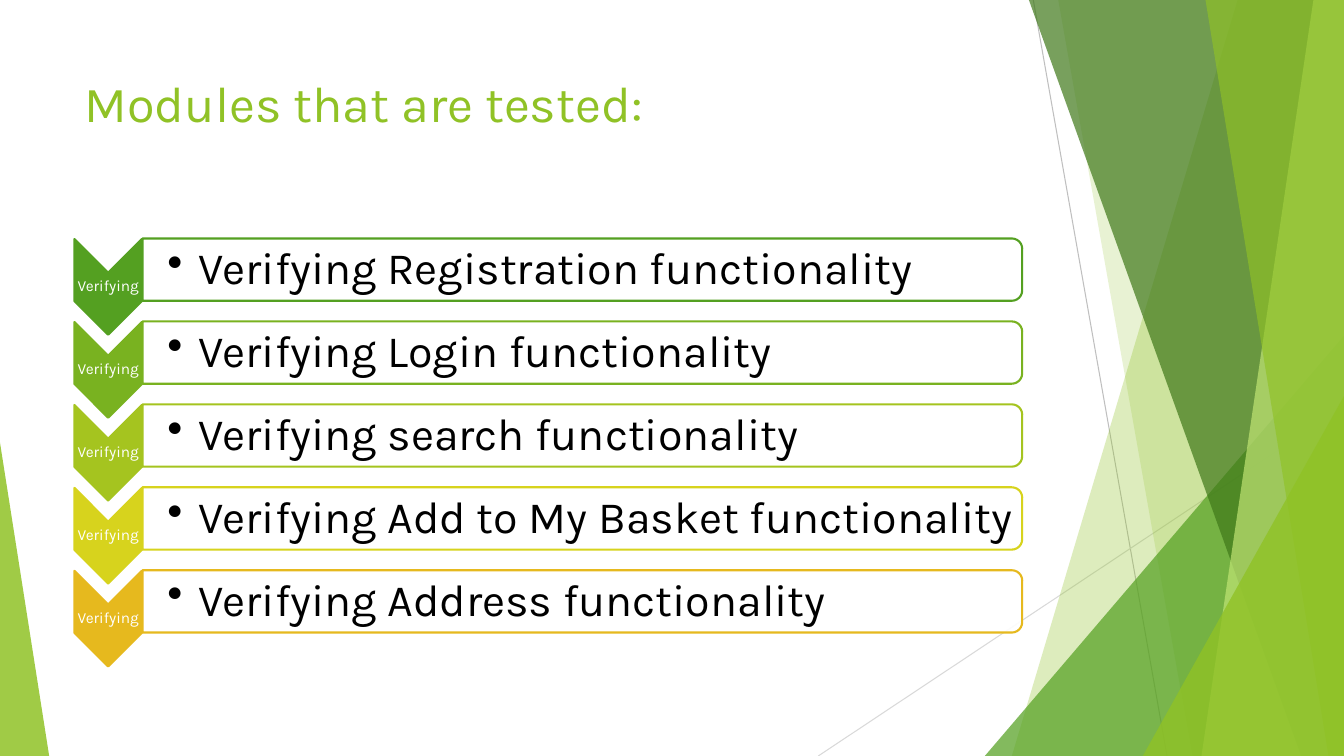
import dataclasses

import lxml.etree
import pptx
import pptx.dml.color
import pptx.enum.shapes
import pptx.enum.text
import pptx.oxml.ns
import pptx.util

Cm = pptx.util.Cm
Pt = pptx.util.Pt
MSO_SHAPE = pptx.enum.shapes.MSO_SHAPE
PP_ALIGN = pptx.enum.text.PP_ALIGN
MSO_ANCHOR = pptx.enum.text.MSO_ANCHOR
qn = pptx.oxml.ns.qn

WIDTH, HEIGHT = 33.87, 19.05
ROW_PITCH = 2.09


@dataclasses.dataclass
class Theme:
    font: str = "Karla"
    title_size: int = 36
    entry_size: int = 32
    label_size: int = 11
    outline: float = 1.5
    hairline: float = 0.75
    accent: str = "90C226"
    green: str = "54A021"
    dark: str = "3F7819"
    pale: str = "C0E474"
    white: str = "FFFFFF"
    black: str = "000000"
    grey: str = "BFBFBF"
    light_grey: str = "D9D9D9"
    rows: tuple = ("54A021", "79B220", "A5C41F", "D7D31D", "E6B91E")


def rgb(color):
    return pptx.dml.color.RGBColor.from_string(color)


class SlideBuilder:
    def __init__(self, s, theme):
        self.s = s
        self.theme = theme

    def paint(self, sp, color, opacity=100, outline=None):
        sp.shadow.inherit = False
        sp.fill.solid()
        sp.fill.fore_color.rgb = rgb(color)
        if opacity < 100:
            clr = sp._element.spPr.find(qn("a:solidFill"))[0]
            lxml.etree.SubElement(clr, qn("a:alpha"), val=str(opacity * 1000))
        if outline:
            sp.line.color.rgb = rgb(outline)
            sp.line.width = Pt(self.theme.outline)
        else:
            sp.line.fill.background()

    def shape(self, kind, box, color, opacity=100, outline=None, rotation=0, adj=None):
        sp = self.s.shapes.add_shape(kind, *map(Cm, box))
        sp.rotation = rotation
        if adj is not None:
            sp.adjustments[0] = adj
        self.paint(sp, color, opacity, outline)

    def facet(self, top_x, bottom_x, color, opacity):
        builder = self.s.shapes.build_freeform(Cm(top_x), 0)
        corners = [(WIDTH, 0), (WIDTH, HEIGHT), (bottom_x, HEIGHT)]
        builder.add_line_segments([(Cm(x), Cm(y)) for x, y in corners], close=True)
        self.paint(builder.convert_to_shape(), color, opacity)

    def line(self, x1, y1, x2, y2, color):
        straight = pptx.enum.shapes.MSO_CONNECTOR.STRAIGHT
        cxn = self.s.shapes.add_connector(straight, *map(Cm, (x1, y1, x2, y2)))
        cxn.line.color.rgb = rgb(color)
        cxn.line.width = Pt(self.theme.hairline)
        lxml.etree.SubElement(cxn._element.spPr, qn("a:effectLst"))

    def set_text(self, tf, text, size, color, align):
        tf.text = text
        tf.word_wrap = True
        tf.auto_size = pptx.enum.text.MSO_AUTO_SIZE.NONE
        p = tf.paragraphs[0]
        p.alignment = align
        r = p.runs[0]
        r.font.name = self.theme.font
        r.font.size = Pt(size)
        r.font.color.rgb = rgb(color)
        return p

    def title(self, text, box):
        sp = self.s.shapes.title
        sp.left, sp.top, sp.width, sp.height = map(Cm, box)
        self.set_text(sp.text_frame, text, self.theme.title_size, self.theme.accent, PP_ALIGN.LEFT)
        sp.text_frame.vertical_anchor = MSO_ANCHOR.TOP

    def text(self, text, box, size, color, align, inset, left_inset):
        tf = self.s.shapes.add_textbox(*map(Cm, box)).text_frame
        p = self.set_text(tf, text, size, color, align)
        p.line_spacing = 0.9
        tf.vertical_anchor = MSO_ANCHOR.MIDDLE
        tf.margin_top = tf.margin_right = tf.margin_bottom = Cm(inset)
        tf.margin_left = Cm(left_inset)
        return p

    def bullet(self, p):
        p.level = 1
        pPr = p._p.get_or_add_pPr()
        pPr.set("marL", str(Cm(0.79)))
        pPr.set("indent", str(-Cm(0.79)))
        lxml.etree.SubElement(pPr, qn("a:buChar"), char="•")

    def module_row(self, dy, label, entry, color):
        t = self.theme
        self.shape(MSO_SHAPE.CHEVRON, (1.52, 6.38 + dy, 2.41, 1.7), color, outline=color, rotation=90)
        self.text(label, (1.88, 6.86 + dy, 1.7, 0.74), t.label_size, t.white,
                  PP_ALIGN.CENTER, 0.03, 0.03)
        self.shape(MSO_SHAPE.ROUND_2_SAME_RECTANGLE, (13.89, -4.29 + dy, 1.57, 22.17),
                   t.white, 90, color, 90)
        p = self.text(entry, (3.58, 6.1 + dy, 22.1, 1.42), t.entry_size, t.black,
                      PP_ALIGN.LEFT, 0.05, 0.64)
        self.bullet(p)

    def backdrop(self):
        t = self.theme
        triangle = MSO_SHAPE.ISOSCELES_TRIANGLE
        self.line(26.04, 0, 29.41, HEIGHT, t.grey)
        self.line(WIDTH, 10.24, 20.62, HEIGHT, t.light_grey)
        self.facet(31.19, 25.5, t.accent, 30)
        self.facet(26.67, 30.05, t.accent, 20)
        self.shape(triangle, (24.82, 8.46, 9.05, 10.59), t.green, 72, adj=1)
        self.facet(25.93, 32.79, t.dark, 70)
        self.facet(33.1, 30.28, t.pale, 70)
        self.facet(30.38, 33.48, t.accent, 65)
        self.shape(triangle, (28.8, 9.98, 5.07, 9.07), t.accent, 80, adj=1)
        self.shape(triangle, (0, 11.15, 1.24, 7.9), t.accent, 85, adj=0)


def main():
    prs = pptx.Presentation()
    prs.slide_width, prs.slide_height = Cm(WIDTH), Cm(HEIGHT)
    theme = Theme()
    slide = SlideBuilder(prs.slides.add_slide(prs.slide_layouts[5]), theme)
    slide.backdrop()
    slide.title("Modules that are tested:", (1.88, 1.7, 23.88, 3.66))
    modules = ("Registration", "Login", "search", "Add to My Basket", "Address")
    for i, (module, color) in enumerate(zip(modules, theme.rows)):
        slide.module_row(i * ROW_PITCH, "Verifying", f"Verifying {module} functionality", color)
    prs.save("out.pptx")


if __name__ == "__main__":
    main()
